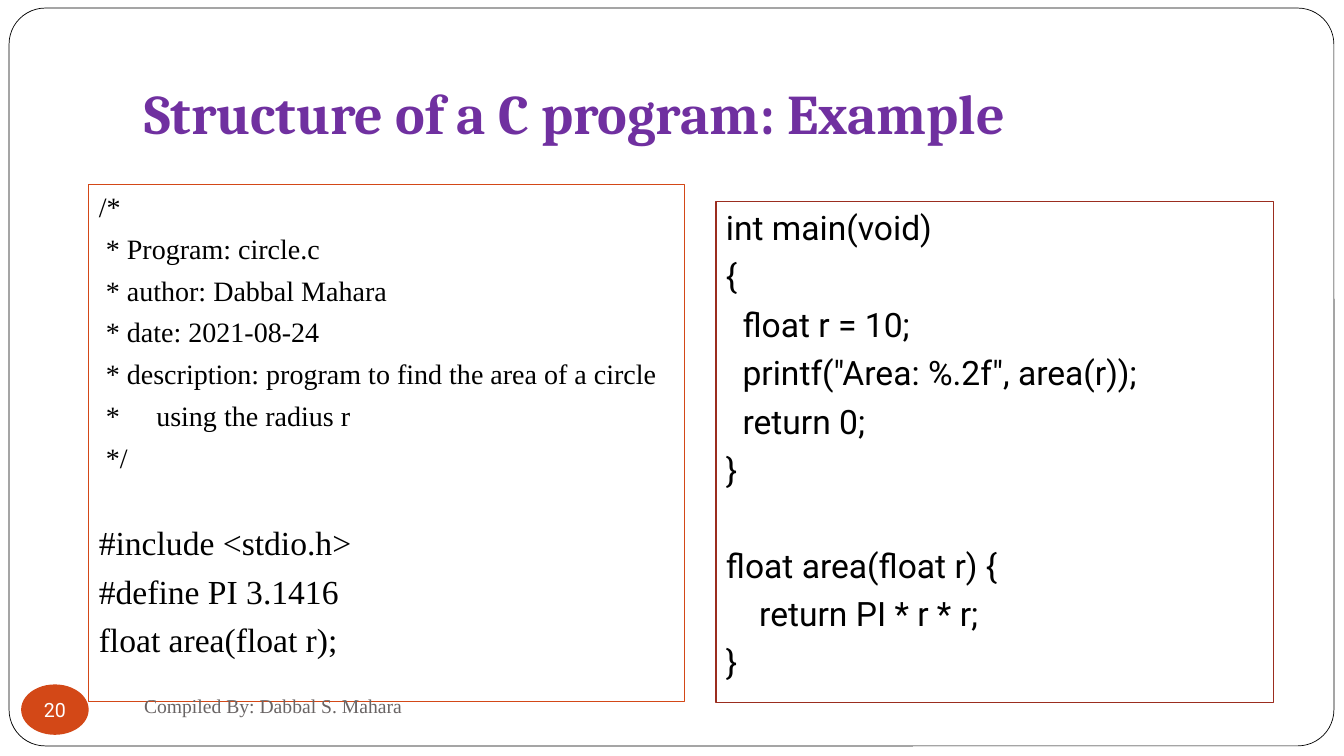
from lxml.etree import SubElement
from pptx import Presentation
from pptx.dml.color import RGBColor
from pptx.enum.shapes import MSO_SHAPE
from pptx.enum.text import MSO_ANCHOR, MSO_AUTO_SIZE, PP_ALIGN
from pptx.oxml.ns import qn
from pptx.util import Inches, Pt

SERIF, SANS = "Times New Roman", "Roboto"
ORANGE, RED, PURPLE, GREY = "D34817", "9B2D1F", "7030A0", "696464"
BLACK, WHITE = "000000", "FFFFFF"
SPACE_BEFORE = 5.8
STAR, STEP = 0.07, 0.165  # indents of comment lines and of code levels

# Each line: text, size, indent in inches, whether a gap precedes it
HEADER_CODE = [
    ("/*", 20, 0, False),
    ("* Program: circle.c", 20, STAR, False),
    ("* author: Dabbal Mahara", 20, STAR, False),
    ("* date: 2021-08-24", 20, STAR, False),
    ("* description: program to find the area of a circle", 20, STAR, False),
    ("*\tusing the radius r", 20, STAR, False),
    ("*/", 20, STAR, False),
    ("#include <stdio.h>", 24, 0, True),
    ("#define PI 3.1416", 24, 0, False),
    ("float area(float r);", 24, 0, False),
]
MAIN_CODE = [
    ("int main(void)", 24, 0, False),
    ("{", 24, 0, False),
    ("float r = 10;", 24, STEP, False),
    ('printf("Area: %.2f", area(r));', 24, STEP, False),
    ("return 0;", 24, STEP, False),
    ("}", 24, 0, False),
    ("float area(float r) {", 24, 0, True),
    ("return PI * r * r;", 24, 2 * STEP, False),
    ("}", 24, 0, False),
]


def color(value):
    return RGBColor.from_string(value)


class CodeSlide:
    def __init__(self, prs):
        self.slide = prs.slides.add_slide(prs.slide_layouts[3])
        self.shapes = self.slide.shapes

    def place(self, sp, box):
        sp.left, sp.top, sp.width, sp.height = map(Inches, box)

    def style(self, p, size, font, hue, bold=False):
        for r in p.runs:
            r.font.size, r.font.name, r.font.bold = Pt(size), font, bold
            r.font.color.rgb = color(hue)

    def outline(self, sp, fill, line=None, width=1):
        sp.fill.solid()
        sp.fill.fore_color.rgb = color(fill)
        if line:
            sp.line.color.rgb = color(line)
            sp.line.width = Pt(width)
        else:
            sp.line.fill.background()

    def shape(self, kind, box, fill, line=None, width=1):
        sp = self.shapes.add_shape(kind, *map(Inches, box))
        sp.shadow.inherit = False
        self.outline(sp, fill, line, width)
        return sp

    def frame(self, box):
        """Draw the rounded page border behind everything else."""
        sp = self.shape(MSO_SHAPE.ROUNDED_RECTANGLE, box, WHITE, BLACK, 0.5)
        sp.adjustments[0] = 0.049
        self.shapes.element.insert(2, sp.element)

    def title(self, text, box):
        sp = self.shapes.title
        self.place(sp, box)
        tf = sp.text_frame
        tf.text = text
        tf.auto_size = MSO_AUTO_SIZE.NONE
        tf.vertical_anchor = MSO_ANCHOR.BOTTOM
        tf.margin_bottom = Inches(0.1)
        p = tf.paragraphs[0]
        p.alignment = PP_ALIGN.LEFT
        self.style(p, 40, "Cambria", PURPLE, True)

    def code(self, idx, lines, box, font, line):
        sp = self.slide.placeholders[idx]
        self.place(sp, box)
        self.outline(sp, WHITE, line)
        tf = sp.text_frame
        tf.text = "\n".join(text for text, *_ in lines)
        tf.auto_size = MSO_AUTO_SIZE.NONE
        previous = 0
        for p, (text, size, indent, gap) in zip(tf.paragraphs, lines):
            skipped = previous * 1.16 + SPACE_BEFORE if gap else 0
            p.space_before = Pt(round(SPACE_BEFORE + skipped, 1))
            self.style(p, size, font, BLACK)
            self.indent(p, indent, "\t" in text)
            previous = size

    def indent(self, p, inches, tabbed):
        """Remove the bullet, set the left margin and an optional tab stop."""
        pPr = p._p.get_or_add_pPr()
        pPr.set("marL", str(Inches(inches)))
        pPr.set("indent", "0")
        SubElement(pPr, qn("a:buNone"))
        if tabbed:
            tabs = SubElement(pPr, qn("a:tabLst"))
            SubElement(tabs, qn("a:tab"), pos=str(Inches(0.42)), algn="l")

    def page_number(self, text, box):
        sp = self.shape(MSO_SHAPE.OVAL, box, ORANGE)
        tf = sp.text_frame
        tf.text = text
        tf.word_wrap = False
        tf.vertical_anchor = MSO_ANCHOR.MIDDLE
        tf.margin_left = tf.margin_right = tf.margin_top = tf.margin_bottom = 0
        p = tf.paragraphs[0]
        p.alignment = PP_ALIGN.CENTER
        self.style(p, 14, SANS, WHITE)

    def footer(self, text, box):
        tf = self.shapes.add_textbox(*map(Inches, box)).text_frame
        tf.text = text
        tf.word_wrap = True
        tf.vertical_anchor = MSO_ANCHOR.MIDDLE
        self.style(tf.paragraphs[0], 14, SERIF, GREY)


def main():
    prs = Presentation()
    prs.slide_width, prs.slide_height = Inches(13.33), Inches(7.5)
    s = CodeSlide(prs)
    s.frame((0.09, 0.08, 13.14, 7.32))
    s.title("Structure of a C program: Example", (1.33, 0.3, 11.33, 1.25))
    s.code(1, HEADER_CODE, (0.88, 1.83, 5.91, 5.13), SERIF, ORANGE)
    s.code(2, MAIN_CODE, (7.1, 2, 5.53, 4.97), SANS, RED)
    s.page_number("20", (0.21, 6.79, 0.67, 0.5))
    s.footer("Compiled By: Dabbal S. Mahara", (1.33, 6.75, 5.78, 0.5))
    prs.save("out.pptx")


if __name__ == "__main__":
    main()
